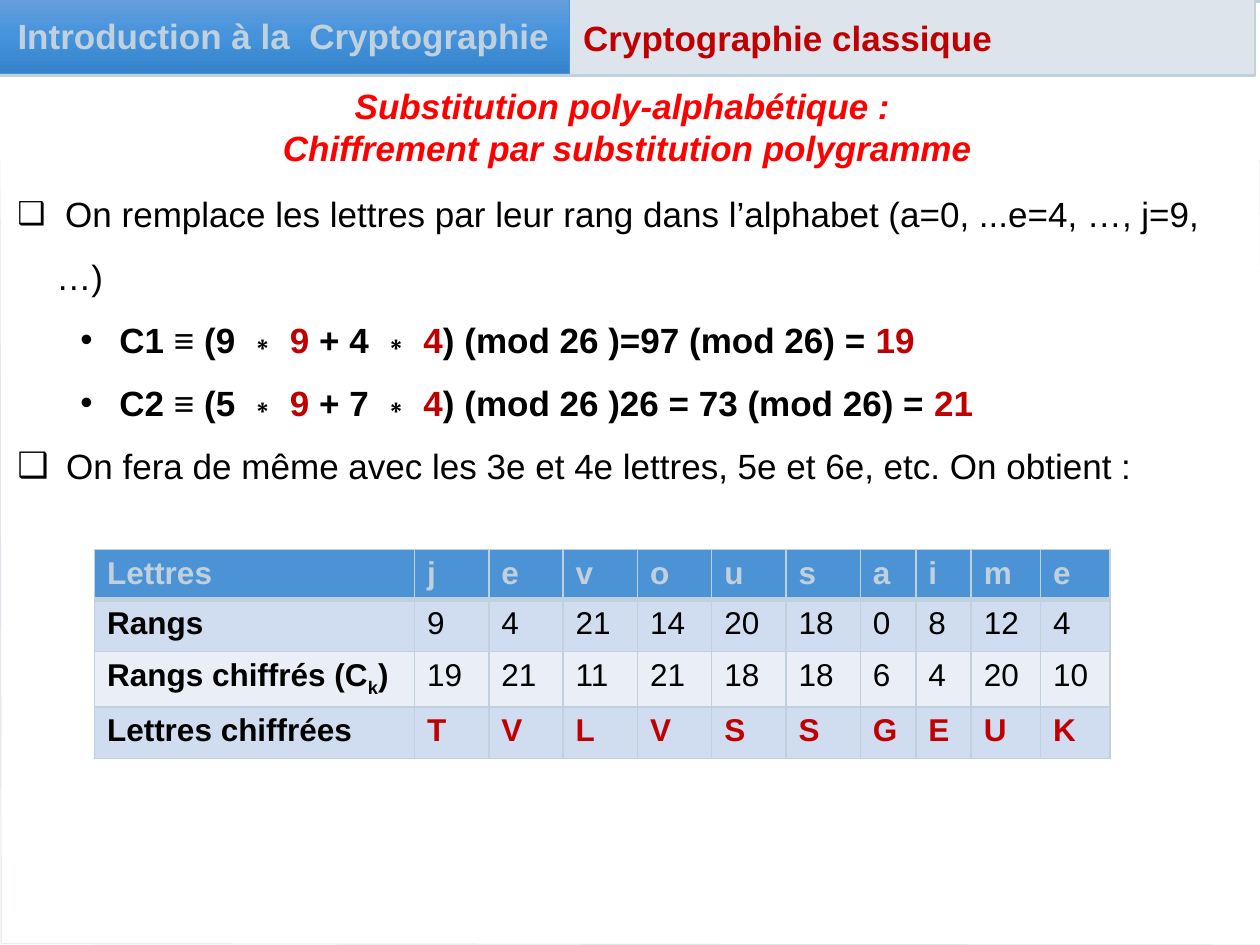
from copy import deepcopy

from lxml.etree import SubElement
from pptx import Presentation
from pptx.dml.color import RGBColor
from pptx.enum.shapes import MSO_SHAPE
from pptx.enum.text import MSO_ANCHOR, MSO_AUTO_SIZE, PP_ALIGN
from pptx.oxml.ns import qn
from pptx.util import Inches, Pt

FONT = "Arial"
BLACK, RED, DARK_RED, WHITE = "000000", "FF0000", "C00000", "FFFFFF"
PALE, MIST, BLUE = "C1D0DD", "DDE4EB", "4B93D5"

PAGE = [(0.01, 7.49), (10.03, 7.5), (10, 1.21), (0, 1.21)]
TAB = [(9.98, 0.77), (4.26, 0.76), (4.08, 0.77), (3.78, 0.91), (3.56, 0.96),
       (0, 0.95), (0, 1.5), (6.26, 1.5), (6.38, 1.47), (6.74, 1.31),
       (6.92, 1.3), (9.99, 1.3)]

COURSE = "Introduction à la  Cryptographie"
CHAPTER = "Cryptographie classique"
TITLE = ["Substitution poly-alphabétique : ",
         "Chiffrement par substitution polygramme"]

BODY = [
    ("❑", [(" ", BLACK, False, 18),
           ("On remplace les lettres par leur rang dans l’alphabet "
            "(a=0, ...e=4, …, j=9, …)", BLACK, False, 20)]),
    ("•", [("C1 ≡ (9 ∗ ", BLACK, True, 20), ("9 ", DARK_RED, True, 20),
           ("+ 4 ∗ ", BLACK, True, 20), ("4", DARK_RED, True, 20),
           (") (mod 26 )=97 (mod 26) = ", BLACK, True, 20),
           ("19", DARK_RED, True, 20)]),
    ("•", [("C2 ≡ (5 ∗ ", BLACK, True, 20), ("9", DARK_RED, True, 20),
           (" + 7 ∗ ", BLACK, True, 20), ("4", DARK_RED, True, 20),
           (") (mod 26 )26 = 73 (mod 26) = ", BLACK, True, 20),
           ("21", DARK_RED, True, 20)]),
    ("❑", [(" On fera de même avec les 3e et 4e lettres, 5e et 6e, etc. "
            "On obtient :", BLACK, False, 20)]),
]
BULLET_LEVELS = {"❑": (0, 0.31), "•": (1, 0.81)}
HANGING = 0.31

COLUMN_WIDTHS = [2.54] + [0.59] * 6 + [0.44] * 2 + [0.55] * 2
ROW_HEIGHTS = [0.27, 0.41, 0.41, 0.41]
CIPHER_ROWS = [
    (["Lettres"], "j e v o u s a i m e", BLUE, PALE, PALE, True),
    (["Rangs"], "9 4 21 14 20 18 0 8 12 4", "D0DCEF", BLACK, BLACK, False),
    (["Rangs chiffrés (C", "k", ")"], "19 21 11 21 18 18 6 4 20 10",
     "E9EEF7", BLACK, BLACK, False),
    (["Lettres chiffrées"], "T V L V S S G E U K", "D0DCEF", BLACK, DARK_RED, True),
]


def rgb(value):
    return RGBColor.from_string(value)


def add_run(paragraph, text, color, bold=False, size=20, italic=False):
    run = paragraph.add_run()
    run.text = text
    font = run.font
    font.name, font.size, font.bold = FONT, Pt(size), bold
    if italic:
        font.italic = True
    font.color.rgb = rgb(color)
    return run


def paint(shape, fill, line, width):
    shape.shadow.inherit = False
    shape.fill.solid()
    shape.fill.fore_color.rgb = rgb(fill)
    if line:
        shape.line.color.rgb = rgb(line)
        shape.line.width = Pt(width)
    else:
        shape.line.fill.background()


def paint_gradient(fill, owner, colors):
    fill.gradient()
    fill.gradient_angle = 270
    stop_list = next(owner.iter(qn("a:gsLst")))
    for _ in colors[2:]:
        stop_list.insert(1, deepcopy(stop_list[0]))
    for index, (stop, color) in enumerate(zip(fill.gradient_stops, colors)):
        stop.position = index / (len(colors) - 1)
        stop.color.rgb = rgb(color)


def add_outline(slide, points, line):
    corners = [(Inches(x), Inches(y)) for x, y in points]
    builder = slide.shapes.build_freeform(*corners[0], scale=1.0)
    builder.add_line_segments(corners[1:], close=True)
    outline = builder.convert_to_shape()
    paint(outline, WHITE, line, 0.5)
    return outline


def add_bar(slide, left, top, width, height, fill, line, line_width):
    bar = slide.shapes.add_shape(MSO_SHAPE.RECTANGLE, Inches(left), Inches(top),
                                 Inches(width), Inches(height))
    paint(bar, fill, line, line_width)
    return bar


def add_text_frame(slide, left, top, width, height):
    frame = slide.shapes.add_textbox(Inches(left), Inches(top), Inches(width),
                                     Inches(height)).text_frame
    frame.word_wrap = True
    frame.auto_size = MSO_AUTO_SIZE.SHAPE_TO_FIT_TEXT
    return frame


def paragraphs_for(frame, items):
    for index, item in enumerate(items):
        yield (frame.add_paragraph() if index else frame.paragraphs[0]), item


def add_bullet(paragraph, mark):
    level, margin = BULLET_LEVELS[mark]
    paragraph.level = level
    properties = paragraph._p.get_or_add_pPr()
    properties.set("marL", str(Inches(margin)))
    properties.set("indent", str(-Inches(HANGING)))
    paragraph.line_spacing = 1.5
    SubElement(properties, qn("a:buFont"), typeface=FONT)
    SubElement(properties, qn("a:buChar"), char=mark)


def add_borders(cell, widths):
    properties = cell._tc.get_or_add_tcPr()
    for index, (side, width) in enumerate(zip("LRTB", widths)):
        border = SubElement(properties, qn(f"a:ln{side}"), w=str(Pt(width)))
        SubElement(SubElement(border, qn("a:solidFill")), qn("a:srgbClr"), val=PALE)
        properties.insert(index, border)


def add_header(slide):
    add_bar(slide, 0, 0.03, 10, 1.23, WHITE, WHITE, 1)
    add_bar(slide, -0.02, -0.03, 9.98, 0.63, MIST, PALE, 1.5)
    chapter = add_text_frame(slide, 4.53, 0.08, 4.57, 0.44)
    add_run(chapter.paragraphs[0], CHAPTER, DARK_RED, True)
    course = add_bar(slide, -0.02, -0.01, 4.54, 0.59, BLUE, BLUE, 0.5)
    paint_gradient(course.fill, course._element, ["669FDB", "4493DC", "3583CB"])
    course.text_frame.word_wrap = True
    course.text_frame.vertical_anchor = MSO_ANCHOR.MIDDLE
    heading = course.text_frame.paragraphs[0]
    heading.alignment = PP_ALIGN.CENTER
    add_run(heading, COURSE, PALE, True)


def add_cipher_table(slide):
    table = slide.shapes.add_table(
        len(CIPHER_ROWS), len(COLUMN_WIDTHS), Inches(0.75), Inches(4.36),
        Inches(sum(COLUMN_WIDTHS)), Inches(sum(ROW_HEIGHTS))).table
    for column, width in zip(table.columns, COLUMN_WIDTHS):
        column.width = Inches(width)
    for row, height in zip(table.rows, ROW_HEIGHTS):
        row.height = Inches(height)
    for r, (label, values, fill, label_color, color, bold) in enumerate(CIPHER_ROWS):
        for c, parts in enumerate([label] + [[value] for value in values.split()]):
            cell = table.cell(r, c)
            cell.fill.solid()
            cell.fill.fore_color.rgb = rgb(fill)
            add_borders(cell, (1, 1, 3 if r == 1 else 1, 3 if r == 0 else 1))
            for part in parts:
                run = add_run(cell.text_frame.paragraphs[0], part,
                              color if c else label_color, bold or c == 0, 18)
                if part == "k":
                    run.font._element.set("baseline", "-25000")


def main():
    deck = Presentation()
    deck.slide_width, deck.slide_height = Inches(10), Inches(7.5)
    slide = deck.slides.add_slide(deck.slide_layouts[6])
    paint_gradient(slide.background.fill, slide._element, [PALE, WHITE])

    add_outline(slide, PAGE, MIST)
    tab = add_outline(slide, TAB, None)
    tab_color = next(tab._element.spPr.iter(qn("a:srgbClr")))
    SubElement(tab_color, qn("a:alpha"), val="50000")
    add_header(slide)

    title = add_text_frame(slide, 0, 0.62, 9.96, 0.77)
    for paragraph, text in paragraphs_for(title, TITLE):
        paragraph.alignment = PP_ALIGN.CENTER
        add_run(paragraph, text, RED, True, italic=True)

    body = add_text_frame(slide, 0.04, 1.31, 9.96, 2.63)
    for paragraph, (mark, runs) in paragraphs_for(body, BODY):
        add_bullet(paragraph, mark)
        for run in runs:
            add_run(paragraph, *run)

    add_cipher_table(slide)
    deck.save("out.pptx")


if __name__ == "__main__":
    main()
